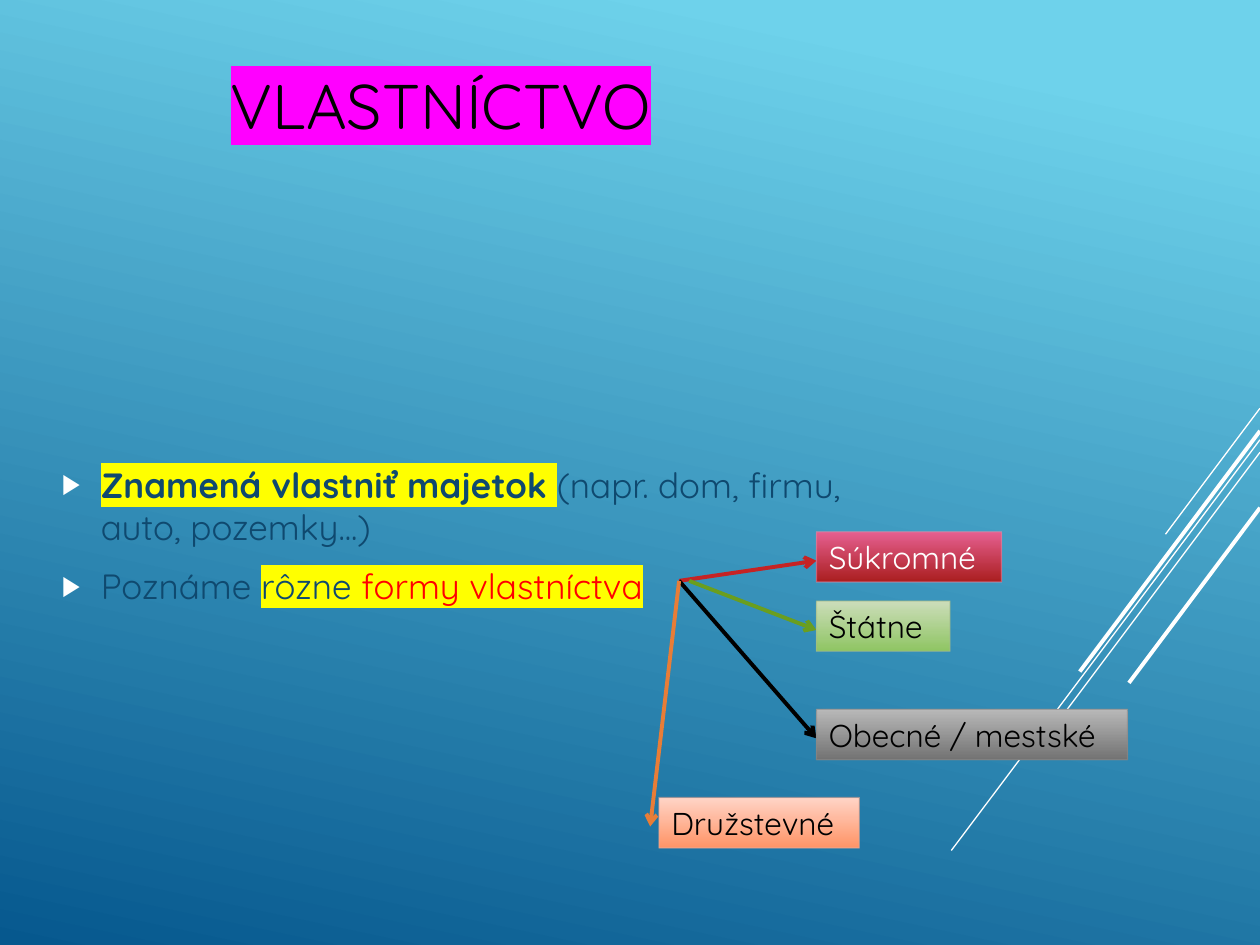
from lxml import etree
from pptx import Presentation
from pptx.dml.color import RGBColor
from pptx.enum.shapes import MSO_CONNECTOR, MSO_SHAPE
from pptx.enum.text import MSO_ANCHOR, MSO_AUTO_SIZE, PP_ALIGN
from pptx.oxml.ns import qn
from pptx.util import Inches, Pt

STRAIGHT = MSO_CONNECTOR.STRAIGHT
RECTANGLE = MSO_SHAPE.RECTANGLE
TOP, MIDDLE = MSO_ANCHOR.TOP, MSO_ANCHOR.MIDDLE
LEFT, CENTER = PP_ALIGN.LEFT, PP_ALIGN.CENTER
NO_FIT = MSO_AUTO_SIZE.NONE
FONT = "Quicksand"

WHITE = RGBColor(0xFF, 0xFF, 0xFF)
BLACK = RGBColor(0x00, 0x00, 0x00)
NAVY = RGBColor(0x0F, 0x49, 0x6F)
RED = RGBColor(0xFF, 0x00, 0x00)
SKY = RGBColor(0x6E, 0xD2, 0xEB)
DEEP_BLUE = RGBColor(0x06, 0x58, 0x8E)
MAGENTA = RGBColor(0xFF, 0x00, 0xFF)
YELLOW = RGBColor(0xFF, 0xFF, 0x00)
CRIMSON = RGBColor(0xC6, 0x23, 0x24)
GREEN = RGBColor(0x6A, 0x9E, 0x1F)
ORANGE = RGBColor(0xE8, 0x7D, 0x37)
PINK_FILL = (RGBColor(0xE6, 0x60, 0x91), RGBColor(0xAA, 0x1E, 0x1F))
GREEN_FILL = (RGBColor(0xCC, 0xDD, 0xBA), RGBColor(0x8F, 0xC5, 0x63))
GRAY_FILL = (RGBColor(0xB8, 0xB8, 0xB8), RGBColor(0x73, 0x73, 0x73))
PEACH_FILL = (RGBColor(0xFF, 0xD4, 0xC6), RGBColor(0xFF, 0x94, 0x67))
PINK_EDGE = RGBColor(0xD6, 0x8B, 0xA6)
GREEN_EDGE = RGBColor(0xA4, 0xBB, 0x8B)
GRAY_EDGE = RGBColor(0x89, 0x89, 0x89)
PEACH_EDGE = RGBColor(0xEE, 0xA7, 0x8F)

TITLE = "VLASTNÍCTVO"
# Each bullet is a list of runs: text, colour, bold, highlight
BULLETS = [
    [("Znamená vlastniť majetok", NAVY, True, YELLOW),
     (" ", NAVY, False, YELLOW),
     ("(napr. dom, firmu, auto, pozemky...)", NAVY, False, None)],
    [("Poznáme ", NAVY, False, None),
     ("rôzne ", NAVY, False, YELLOW),
     ("formy vlastníctva", RED, False, YELLOW)],
]
# Label, left, top, width, fill, edge, text colour, arrow start, arrow end, arrow colour
BOX_HEIGHT = 0.4
HUB = (5.39, 4.61)
FORMS = [
    ("Súkromné", 6.48, 4.22, 1.47, PINK_FILL, PINK_EDGE, WHITE, HUB, (6.48, 4.45), CRIMSON),
    ("Štátne", 6.48, 4.77, 1.06, GREEN_FILL, GREEN_EDGE, BLACK, (5.47, 4.61), (6.48, 5), GREEN),
    ("Obecné / mestské", 6.48, 5.63, 2.47, GRAY_FILL, GRAY_EDGE, BLACK, HUB, (6.48, 5.86), BLACK),
    ("Družstevné", 5.23, 6.33, 1.59, PEACH_FILL, PEACH_EDGE, BLACK, HUB, (5.16, 6.56), ORANGE),
]
# Start height on the right edge, end point, line width
STREAKS = [
    (3.24, (9.25, 4.24), 0.75),
    (3.49, (7.55, 6.75), 0.75),
    (3.59, (8.44, 5.67), 0.75),
    (3.42, (8.57, 5.33), 2.25),
    (4.03, (8.96, 5.42), 2.25),
]


def set_gradient(fill, colors, clockwise_angle, first_position=0):
    fill.gradient()
    fill.gradient_angle = 360 - clockwise_angle
    for stop, color, position in zip(fill.gradient_stops, colors, (first_position, 1)):
        stop.color.rgb = color
        stop.position = position


def add_element(parent, tag, **attributes):
    return etree.SubElement(parent, qn(tag), attributes)


def add_run(paragraph, text, size, color, bold=False, highlight=None):
    run = paragraph.add_run()
    run.text = text
    run.font.size = Pt(size)
    run.font.bold = bold
    run.font.color.rgb = color
    run.font.name = FONT
    if highlight is not None:
        properties = run.font._element
        mark = add_element(properties, "a:highlight")
        add_element(mark, "a:srgbClr", val=str(highlight))
        properties.find(qn("a:latin")).addprevious(mark)


def add_bullet(paragraph):
    properties = paragraph._p.get_or_add_pPr()
    properties.set("marL", str(Inches(0.31)))
    properties.set("indent", str(Inches(-0.31)))
    add_element(add_element(properties, "a:buClr"), "a:srgbClr", val=str(WHITE))
    add_element(properties, "a:buSzPct", val="80000")
    add_element(properties, "a:buFont", typeface="Arial")
    add_element(properties, "a:buChar", char="▶")


def place(shape, left, top, width, height):
    shape.left, shape.top = Inches(left), Inches(top)
    shape.width, shape.height = Inches(width), Inches(height)


def add_line(slide, start, end, color, width, arrow=False):
    connector = slide.shapes.add_connector(STRAIGHT, *map(Inches, start + end))
    connector.line.color.rgb = color
    connector.line.width = Pt(width)
    if arrow:
        add_element(connector.line._get_or_add_ln(), "a:tailEnd", type="arrow")
    add_element(connector._element.spPr, "a:effectLst")


def add_form_box(slide, label, left, top, width, fill, edge, text_color):
    box = slide.shapes.add_shape(
        RECTANGLE, *map(Inches, (left, top, width, BOX_HEIGHT)))
    box.shadow.inherit = False
    set_gradient(box.fill, fill, 90)
    box.line.color.rgb = edge
    box.line.width = Pt(0.75)
    edge_color = box.line._get_or_add_ln().find(".//" + qn("a:srgbClr"))
    add_element(edge_color, "a:alpha", val="60000")
    frame = box.text_frame
    frame.word_wrap = False
    frame.vertical_anchor = TOP
    paragraph = frame.paragraphs[0]
    paragraph.alignment = LEFT
    add_run(paragraph, label, 18, text_color)


def main():
    presentation = Presentation()
    presentation.slide_width, presentation.slide_height = Inches(10), Inches(7.5)
    slide = presentation.slides.add_slide(presentation.slide_layouts[1])
    set_gradient(slide.background.fill, (SKY, DEEP_BLUE), 102, 0.1)

    for start_height, end, width in STREAKS:
        add_line(slide, (10, start_height), end, WHITE, width)

    title, body = slide.placeholders
    place(title, 0, 0, 7, 1.65)
    place(body, 0.39, 2.27, 7, 3.95)
    for placeholder in (title, body):
        placeholder.text_frame.word_wrap = True
        placeholder.text_frame.auto_size = NO_FIT
        placeholder.text_frame.vertical_anchor = MIDDLE

    heading = title.text_frame.paragraphs[0]
    heading.alignment = CENTER
    add_run(heading, TITLE, 36, BLACK, highlight=MAGENTA)

    for index, runs in enumerate(BULLETS):
        frame = body.text_frame
        paragraph = frame.add_paragraph() if index else frame.paragraphs[0]
        add_bullet(paragraph)
        paragraph.space_before = Pt(4 if index else 0)
        paragraph.space_after = Pt(6)
        for text, color, bold, highlight in runs:
            add_run(paragraph, text, 20, color, bold, highlight)

    for *box, start, end, arrow_color in FORMS:
        add_line(slide, start, end, arrow_color, 2.25, arrow=True)
        add_form_box(slide, *box)

    presentation.save("out.pptx")


if __name__ == "__main__":
    main()
